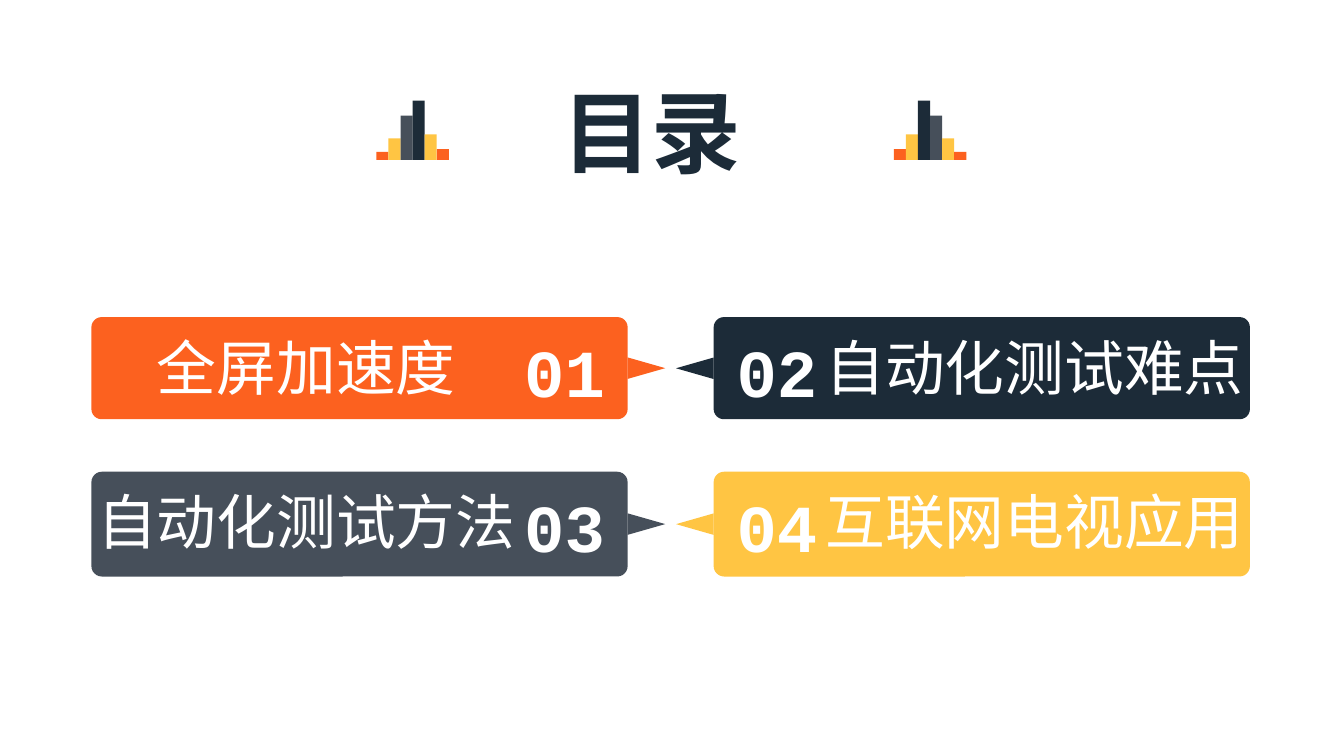
from lxml import etree
from pptx import Presentation
from pptx.dml.color import RGBColor
from pptx.enum import shapes, text
from pptx.oxml import ns
from pptx.util import Inches, Pt

ORANGE = RGBColor(0xFC, 0x61, 0x1F)
YELLOW = RGBColor(0xFF, 0xC5, 0x43)
GRAY = RGBColor(0x46, 0x4F, 0x5A)
NAVY = RGBColor(0x1C, 0x2B, 0x38)
WHITE = RGBColor(0xFF, 0xFF, 0xFF)
SANS = "Noto Sans CJK SC"
LATIN = "Calibri"
MONO = "Courier New"

CARD_W = 3.99
BAR_W = 0.09
BARS = [(0.06, ORANGE), (0.16, YELLOW), (0.33, GRAY),
        (0.44, NAVY), (0.19, YELLOW), (0.08, ORANGE)]
CARDS = [("01", "全屏加速度", SANS, ORANGE),
         ("02", "自动化测试难点", SANS, NAVY),
         ("03", "自动化测试方法", SANS, GRAY),
         ("04", "互联网电视应用", LATIN, YELLOW)]
COLS = [0.68, 5.31]
ROWS = [(2.36, 0.76), (3.51, 0.78)]


def add_block(slide, kind, x, y, w, h, color):
    """Add a filled shape without outline or shadow."""
    block = slide.shapes.add_shape(kind, Inches(x), Inches(y), Inches(w), Inches(h))
    block.shadow.inherit = False
    block.fill.solid()
    block.fill.fore_color.rgb = color
    block.line.fill.background()
    return block


def set_text(shape, words, size, name, color, bold=False):
    """Write one centred line at the top of a shape."""
    frame = shape.text_frame
    frame.text = words
    frame.word_wrap = False
    frame.auto_size = text.MSO_AUTO_SIZE.NONE
    frame.vertical_anchor = text.MSO_ANCHOR.TOP
    line = frame.paragraphs[0]
    line.alignment = text.PP_ALIGN.CENTER
    font = line.runs[0].font
    font.size, font.name, font.bold = Pt(size), name, bold
    font.color.rgb = color
    props = line.runs[0]._r.get_or_add_rPr()
    etree.SubElement(props, ns.qn("a:ea"), typeface=SANS)


def add_label(slide, x, y, w, h, *style):
    """Add a text box holding one styled line."""
    box = slide.shapes.add_textbox(Inches(x), Inches(y), Inches(w), Inches(h))
    set_text(box, *style)


def add_bars(slide, x, base, bars):
    """Stand a row of bars on a base line."""
    for i, (high, color) in enumerate(bars):
        add_block(slide, shapes.MSO_SHAPE.RECTANGLE,
                  x + i * BAR_W, base - high, BAR_W, high, color)


def add_header(slide, x, y, w, h):
    """Place the title between two mirrored bar marks."""
    title = slide.shapes.title
    title.left, title.top = Inches(x + 1.27), Inches(y)
    title.width, title.height = Inches(1.56), Inches(h)
    set_text(title, "目录", 48, SANS, NAVY, True)
    base = y + 0.67
    add_bars(slide, x, base, BARS)
    add_bars(slide, x + w - len(BARS) * BAR_W, base, BARS[::-1])


def add_card(slide, x, y, w, h, item, right):
    """Draw a numbered card whose pointer faces the slide centre."""
    number, words, face, color = item

    def place(left, wide):
        return x + (w - left - wide if right else left)

    card = add_block(slide, shapes.MSO_SHAPE.ROUNDED_RECTANGLE, x, y, w, h, color)
    card.adjustments[0] = 0.1
    tip = add_block(slide, shapes.MSO_SHAPE.ISOSCELES_TRIANGLE,
                    place(4.05, 0.16), y + h / 2 - 0.14, 0.16, 0.28, color)
    tip.rotation = 270 if right else 90
    add_label(slide, place(3.06, 0.92), y + 0.05, 0.92, 0.71,
              number, 36, MONO, WHITE, True)
    add_label(slide, place(-0.07, 3.34), y + 0.05, 3.34, 0.64,
              words, 32, face, WHITE)


def main():
    """Build the contents slide."""
    deck = Presentation()
    deck.slide_width = Inches(10)
    deck.slide_height = deck.slide_width * 9 // 16
    slide = deck.slides.add_slide(deck.slide_layouts[5])
    add_header(slide, 2.8, 0.52, 4.39, 0.91)
    for i, item in enumerate(CARDS):
        row, col = divmod(i, 2)
        y, h = ROWS[row]
        add_card(slide, COLS[col], y, CARD_W, h, item, col == 1)
    deck.save("out.pptx")


if __name__ == "__main__":
    main()
